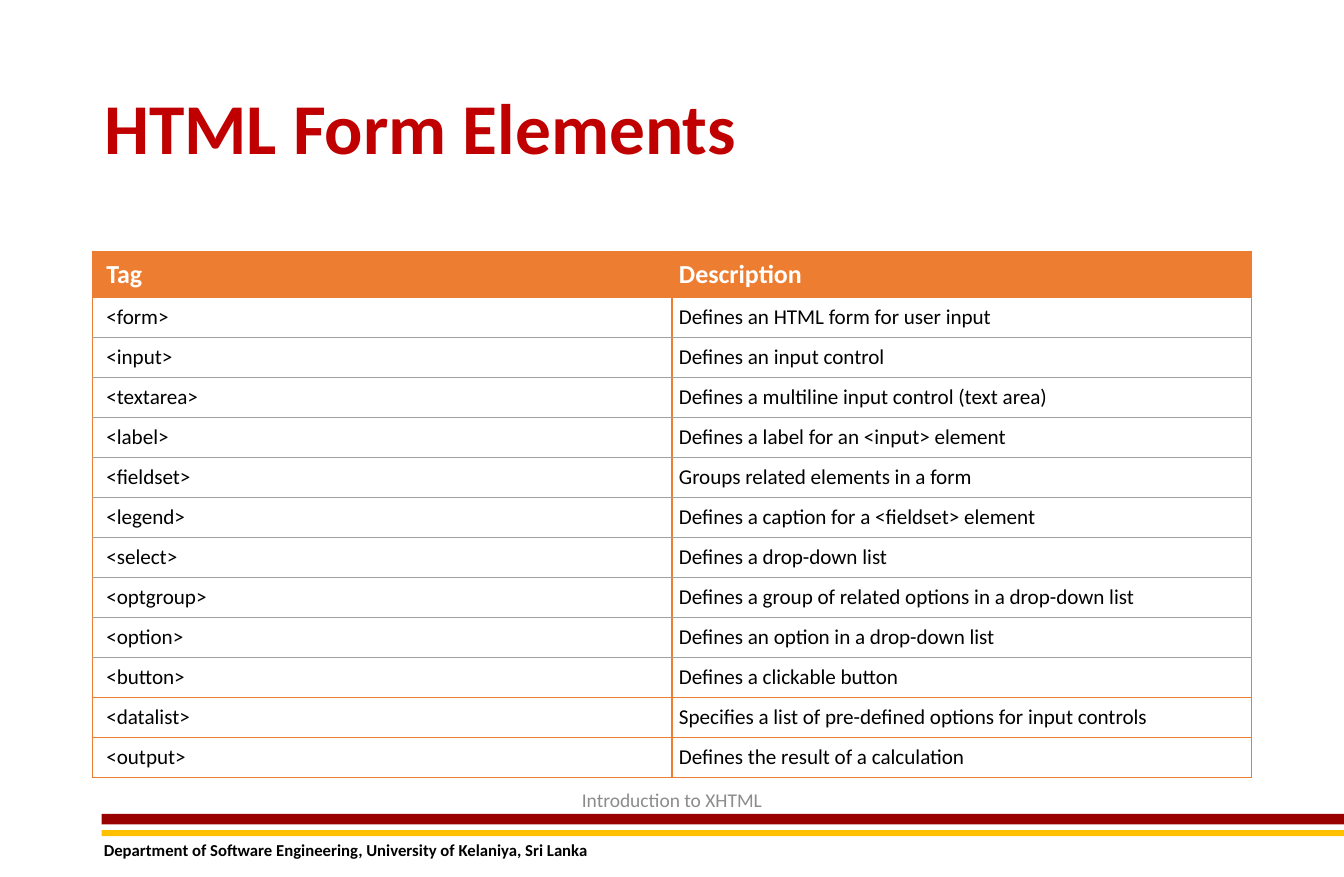
"""Build the slide that lists the HTML form elements in a table."""
from dataclasses import dataclass

from lxml import etree
from pptx import Presentation
from pptx.dml.color import RGBColor
from pptx.enum.shapes import MSO_SHAPE
from pptx.enum.text import MSO_ANCHOR, PP_ALIGN
from pptx.oxml.ns import qn
from pptx.util import Inches, Pt

RECTANGLE = MSO_SHAPE.RECTANGLE
MIDDLE, TOP = MSO_ANCHOR.MIDDLE, MSO_ANCHOR.TOP
LEFT, CENTER = PP_ALIGN.LEFT, PP_ALIGN.CENTER

FONT = "Calibri"
COLORS = {
    "title": "C00000",
    "accent": "ED7D31",
    "rule": "A0A0A0",
    "red": "990000",
    "gold": "FFC000",
    "black": "000000",
    "white": "FFFFFF",
    "muted": "8C8C8C",
}
MARGIN, CONTENT_WIDTH = 0.79, 9.92
TABLE_TOP, TABLE_HEIGHT, HEADER_HEIGHT = 2.15, 4.5, 0.39
GREY_RULES = range(2, 11)


@dataclass(frozen=True)
class Element:
    tag: str
    description: str


@dataclass(frozen=True)
class Stripe:
    top: float
    height: float
    color: str


@dataclass(frozen=True)
class Caption:
    text: str
    box: tuple[float, float, float, float]
    size: float
    color: str
    bold: bool
    align: int
    anchor: int


ROWS = [
    Element("Tag", "Description"),
    Element("<form>", "Defines an HTML form for user input"),
    Element("<input>", "Defines an input control"),
    Element("<textarea>", "Defines a multiline input control (text area)"),
    Element("<label>", "Defines a label for an <input> element"),
    Element("<fieldset>", "Groups related elements in a form"),
    Element("<legend>", "Defines a caption for a <fieldset> element"),
    Element("<select>", "Defines a drop-down list"),
    Element("<optgroup>", "Defines a group of related options in a drop-down list"),
    Element("<option>", "Defines an option in a drop-down list"),
    Element("<button>", "Defines a clickable button"),
    Element("<datalist>", "Specifies a list of pre-defined options for input controls"),
    Element("<output>", "Defines the result of a calculation"),
]
STRIPES = [Stripe(6.96, 0.09, "red"), Stripe(7.1, 0.05, "gold")]
CAPTIONS = [
    Caption("Department of Software Engineering, University of Kelaniya, Sri Lanka",
            (MARGIN, 7.13, 10.63, 0.28), 10.3, "black", True, LEFT, TOP),
    Caption("Introduction to XHTML",
            (3.81, 6.64, 3.88, 0.4), 12, "muted", False, CENTER, MIDDLE),
]


def rgb(name: str) -> RGBColor:
    return RGBColor.from_string(COLORS[name])


def write(paragraph, text: str, size: float, color: str, bold: bool) -> None:
    run = paragraph.add_run()
    run.text = text
    run.font.name = FONT
    run.font.size = Pt(size)
    run.font.bold = bold
    run.font.color.rgb = rgb(color)


def place(shape, box: tuple[float, float, float, float]) -> None:
    shape.left, shape.top, shape.width, shape.height = map(Inches, box)


def add_title(slide, text: str) -> None:
    title = slide.shapes.title
    place(title, (MARGIN, 0.4, CONTENT_WIDTH, 1.45))
    title.text_frame.vertical_anchor = MIDDLE
    paragraph = title.text_frame.paragraphs[0]
    paragraph.alignment = LEFT
    paragraph.line_spacing = 0.9
    write(paragraph, text, 44, "title", True)


def add_stripe(slide, stripe: Stripe) -> None:
    bar = slide.shapes.add_shape(RECTANGLE, Inches(0.87), Inches(stripe.top),
                                 Inches(10.63), Inches(stripe.height))
    bar.shadow.inherit = False
    bar.fill.solid()
    bar.fill.fore_color.rgb = rgb(stripe.color)
    bar.line.fill.background()


def add_caption(slide, caption: Caption) -> None:
    frame = slide.shapes.add_textbox(*map(Inches, caption.box)).text_frame
    frame.word_wrap = True
    frame.vertical_anchor = caption.anchor
    paragraph = frame.paragraphs[0]
    paragraph.alignment = caption.align
    write(paragraph, caption.text, caption.size, caption.color, caption.bold)


def set_border(cell, side: str, color: str, width: float) -> None:
    properties = cell._tc.get_or_add_tcPr()
    line = etree.SubElement(properties, qn(f"a:{side}"), w=str(Pt(width)))
    fill = etree.SubElement(line, qn("a:solidFill"))
    etree.SubElement(fill, qn("a:srgbClr"), val=COLORS[color])


def format_cell(cell, text: str, row: int, column: int) -> None:
    header = row == 0
    cell.margin_left = Inches(0.06 if column else 0.12)
    cell.margin_right = cell.margin_top = cell.margin_bottom = Inches(0.06)
    for side, edge in (("lnL", None), ("lnR", None), ("lnT", row), ("lnB", row + 1)):
        grey = edge in GREY_RULES
        set_border(cell, side, "rule" if grey else "accent", 0.5 if grey else 1)
    if header:
        cell.fill.solid()
        cell.fill.fore_color.rgb = rgb("accent")
    else:
        cell.fill.background()
    write(cell.text_frame.paragraphs[0], text, 16 if header else 13,
          "white" if header else "black", header)


def add_element_table(slide) -> None:
    table = slide.shapes.add_table(
        len(ROWS), 2, Inches(MARGIN), Inches(TABLE_TOP),
        Inches(CONTENT_WIDTH), Inches(TABLE_HEIGHT)).table
    table.horz_banding = False
    row_height = (TABLE_HEIGHT - HEADER_HEIGHT) / (len(ROWS) - 1)
    for row, element in enumerate(ROWS):
        table.rows[row].height = Inches(row_height if row else HEADER_HEIGHT)
        for column, text in enumerate((element.tag, element.description)):
            format_cell(table.cell(row, column), text, row, column)


def main() -> None:
    deck = Presentation()
    deck.slide_width, deck.slide_height = Inches(11.5), Inches(7.5)
    slide = deck.slides.add_slide(deck.slide_layouts[5])
    for stripe in STRIPES:
        add_stripe(slide, stripe)
    add_title(slide, "HTML Form Elements")
    add_element_table(slide)
    for caption in CAPTIONS:
        add_caption(slide, caption)
    deck.save("out.pptx")


if __name__ == "__main__":
    main()
